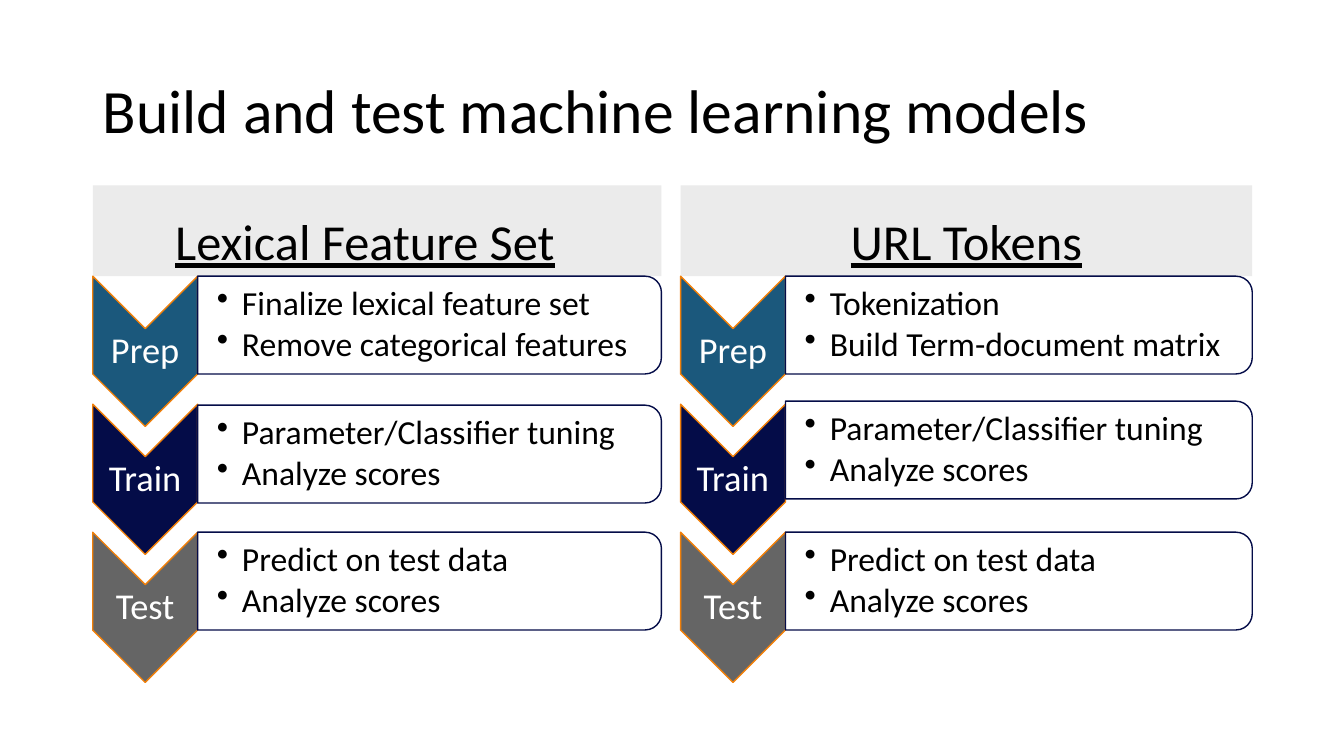
from lxml import etree
from pptx import Presentation
from pptx import util as u
from pptx.dml.color import RGBColor
from pptx.enum import shapes, text
from pptx.oxml import ns

BLACK = RGBColor(0x00, 0x00, 0x00)
WHITE = RGBColor(0xFF, 0xFF, 0xFF)
LIGHT_GRAY = RGBColor(0xEB, 0xEB, 0xEB)
GRAY = RGBColor(0x65, 0x65, 0x65)
TEAL = RGBColor(0x1B, 0x58, 0x7C)
NAVY = RGBColor(0x04, 0x0C, 0x48)
ORANGE = RGBColor(0xF0, 0x7F, 0x09)

STAGES = [("Prep", TEAL), ("Train", NAVY), ("Test", GRAY)]
TUNING = ["Parameter/Classifier tuning", "Analyze scores"]
TESTING = ["Predict on test data", "Analyze scores"]

FIRST_ROW_TOP, ROW_PITCH = 2.74, 1.27
HEADING_TOP, HEADING_HEIGHT = 1.84, 0.9
CHEVRON_WIDTH, CHEVRON_HEIGHT = 1.04, 1.49
PANEL_HEIGHT = 0.97


class SlideBuilder:
    def __init__(self, presentation, font="Calibri"):
        self.font = font
        self.slide = presentation.slides.add_slide(presentation.slide_layouts[4])
        self.canvas = self.slide.shapes

    def start_group(self):
        self.canvas = self.slide.shapes.add_group_shape().shapes

    def fill_text(self, shape, lines, size, color, anchor, align,
                  insets=(0.1, 0.05, 0.1, 0.05), after=0, underline=False, bullet=False):
        frame = shape.text_frame
        frame.word_wrap = True
        frame.auto_size = text.MSO_AUTO_SIZE.NONE
        frame.vertical_anchor = anchor
        (frame.margin_left, frame.margin_top,
         frame.margin_right, frame.margin_bottom) = map(u.Inches, insets)
        for index, line in enumerate(lines):
            paragraph = frame.paragraphs[0] if index == 0 else frame.add_paragraph()
            paragraph.alignment = align
            paragraph.line_spacing = 0.9
            paragraph.space_before = u.Pt(0)
            paragraph.space_after = u.Pt(after)
            if bullet:
                self.add_bullet(paragraph)
            run = paragraph.add_run()
            run.text = line
            run.font.name = self.font
            run.font.size = u.Pt(size)
            run.font.bold = False
            run.font.underline = underline
            run.font.color.rgb = color

    def add_bullet(self, paragraph):
        properties = paragraph._p.get_or_add_pPr()
        properties.set("marL", str(u.Inches(0.25)))
        properties.set("indent", str(u.Inches(-0.25)))
        etree.SubElement(properties, ns.qn("a:buChar"), char="•")

    def placeholder(self, index, box, lines, size, anchor, align, fill=None, **style):
        shape = self.slide.placeholders[index]
        shape.left, shape.top, shape.width, shape.height = map(u.Inches, box)
        if fill is not None:
            shape.fill.solid()
            shape.fill.fore_color.rgb = fill
        self.fill_text(shape, lines, size, BLACK, anchor, align, **style)

    def turned_shape(self, kind, box, fill, line, opacity=None):
        """Add a shape turned clockwise by 90° that covers the given box."""
        left, top, width, height = box
        shift = (width - height) / 2
        shape = self.canvas.add_shape(kind, u.Inches(left + shift), u.Inches(top - shift),
                                      u.Inches(height), u.Inches(width))
        shape.rotation = 90
        shape.shadow.inherit = False
        shape.fill.solid()
        shape.fill.fore_color.rgb = fill
        shape.line.color.rgb = line
        shape.line.width = u.Pt(1)
        if opacity is not None:
            color = shape.fill._xPr.find(".//" + ns.qn("a:srgbClr"))
            etree.SubElement(color, ns.qn("a:alpha"), val=str(opacity * 1000))

    def text_box(self, box, lines, size, color, align, **style):
        shape = self.canvas.add_textbox(*map(u.Inches, box))
        self.fill_text(shape, lines, size, color, text.MSO_ANCHOR.MIDDLE, align, **style)

    def stage(self, left, top, label, color):
        self.turned_shape(shapes.MSO_SHAPE.CHEVRON,
                          (left, top, CHEVRON_WIDTH, CHEVRON_HEIGHT), color, ORANGE)
        self.text_box((left, top + CHEVRON_WIDTH / 2, CHEVRON_WIDTH, 0.45), [label], 26,
                      WHITE, text.PP_ALIGN.CENTER, insets=(0.02,) * 4)

    def panel(self, left, top, width, lines):
        self.turned_shape(shapes.MSO_SHAPE.ROUND_2_SAME_RECTANGLE,
                          (left, top, width, PANEL_HEIGHT), WHITE, NAVY, opacity=90)
        self.text_box((left, top + 0.05, width - 0.05, 0.87), lines, 24, BLACK,
                      text.PP_ALIGN.LEFT, insets=(0.19, 0.02, 0.02, 0.02),
                      after=3, bullet=True)

    def column(self, index, left, width, heading, steps, right_inset=0.1, train_shift=0.0):
        self.placeholder(index, (left, HEADING_TOP, width, HEADING_HEIGHT), [heading], 36,
                         text.MSO_ANCHOR.BOTTOM, text.PP_ALIGN.CENTER, fill=LIGHT_GRAY,
                         insets=(0.1, 0.05, right_inset, 0.05), underline=True)
        self.start_group()
        for row, ((label, color), lines) in enumerate(zip(STAGES, steps)):
            top = FIRST_ROW_TOP + row * ROW_PITCH
            self.stage(left, top, label, color)
            panel_top = top + (train_shift if label == "Train" else 0)
            self.panel(left + CHEVRON_WIDTH, panel_top, width - CHEVRON_WIDTH, lines)

    def remove_empty_placeholders(self):
        for shape in list(self.slide.placeholders):
            if not shape.text_frame.text:
                shape._element.getparent().remove(shape._element)


def main():
    presentation = Presentation()
    presentation.slide_width = u.Inches(13.33)
    presentation.slide_height = u.Inches(7.5)
    builder = SlideBuilder(presentation)
    builder.placeholder(0, (0.92, 0.4, 11.5, 1.45),
                        ["Build and test machine learning models"], 44,
                        text.MSO_ANCHOR.MIDDLE, text.PP_ALIGN.LEFT)
    builder.column(1, 0.92, 5.64, "Lexical Feature Set",
                   [["Finalize lexical feature set", "Remove categorical features"],
                    TUNING, TESTING], right_inset=0.34, train_shift=0.01)
    builder.column(3, 6.75, 5.67, "URL Tokens",
                   [["Tokenization", "Build Term-document matrix"], TUNING, TESTING],
                   train_shift=-0.03)
    builder.remove_empty_placeholders()
    presentation.save("out.pptx")


if __name__ == "__main__":
    main()
